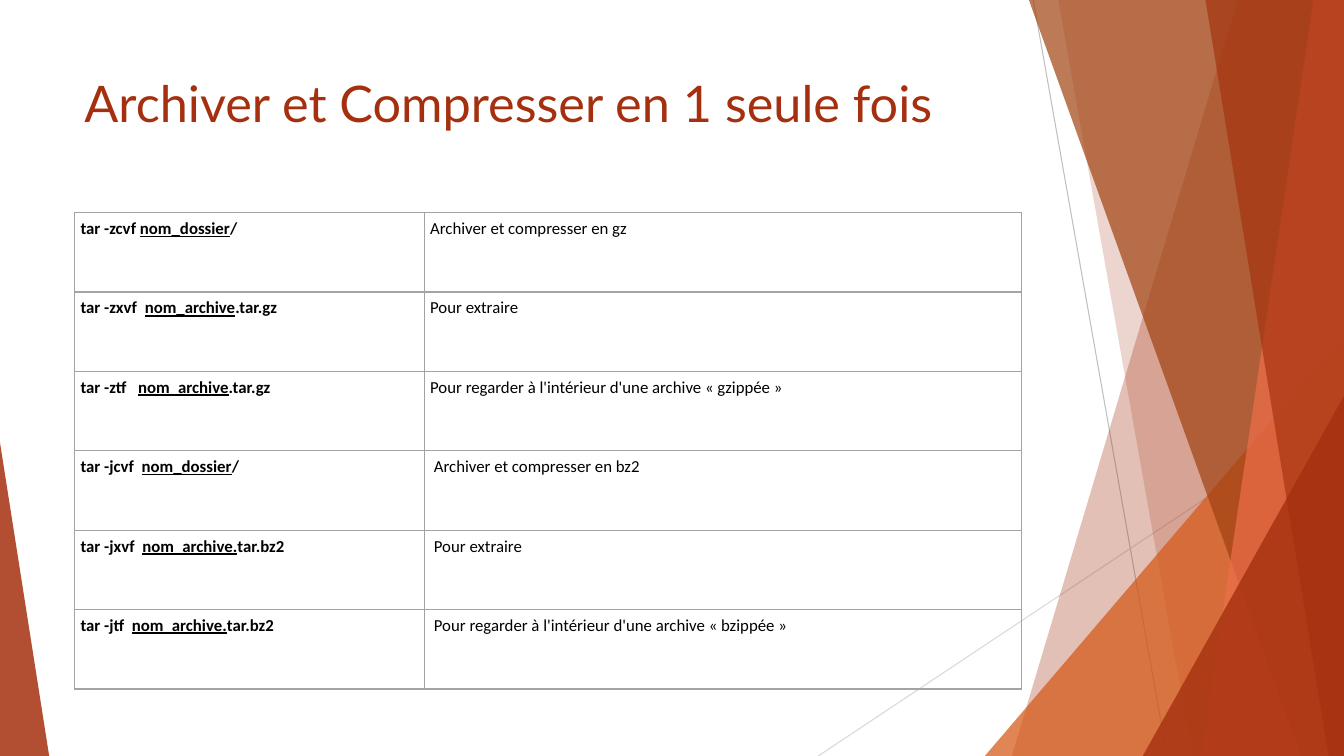
from dataclasses import dataclass

from lxml import etree
from pptx import Presentation
from pptx import util as u
from pptx.dml.color import RGBColor
from pptx.enum import shapes, text
from pptx.oxml import ns


@dataclass(frozen=True)
class Theme:
    rust: str = "A5300F"
    orange: str = "D55816"
    brown: str = "A04210"
    coral: str = "EE6E4A"
    ink: str = "000000"
    border: str = "A3A3A3"
    line_dark: str = "BFBFBF"
    line_light: str = "D9D9D9"
    title_font: str = "Lato"
    body_font: str = "Calibri"
    title_size: int = 36
    body_size: int = 12


theme = Theme()
WIDTH, HEIGHT = 33.87, 19.05
LEFT, TABLE_TOP = 1.88, 5.36
COLUMNS, ROW_HEIGHT = (8.81, 15.06), 2


def add_run(p, words, font, size, color, bold=False, underline=False):
    r = p.add_run()
    r.text = words
    r.font.name, r.font.size = font, u.Pt(size)
    r.font.bold, r.font.underline = bold, underline
    r.font.color.rgb = RGBColor.from_string(color)


def paint(sp, color, opacity):
    """Fill a facet with a translucent colour, without outline or shadow."""
    sp.shadow.inherit = False
    sp.line.fill.background()
    sp.fill.solid()
    sp.fill.fore_color.rgb = RGBColor.from_string(color)
    clr = sp.fill._xPr.find(".//" + ns.qn("a:srgbClr"))
    etree.SubElement(clr, ns.qn("a:alpha"), val=str(opacity * 1000))


prs = Presentation()
prs.slide_width, prs.slide_height = u.Cm(WIDTH), u.Cm(HEIGHT)
s = prs.slides.add_slide(prs.slide_layouts[6])

# Thin lines behind the facets
for x1, y1, x2, color in [
    (26.04, 0, 29.41, theme.line_dark),
    (WIDTH, 10.24, 20.62, theme.line_light),
]:
    line = s.shapes.add_connector(
        shapes.MSO_CONNECTOR.STRAIGHT, u.Cm(x1), u.Cm(y1), u.Cm(x2), u.Cm(HEIGHT))
    line.line.width = u.Pt(0.75)
    line.line.color.rgb = RGBColor.from_string(color)
    etree.SubElement(line._element.spPr, ns.qn("a:effectLst"))

# Full-height bands: left edge at the top and at the bottom, colour, opacity.
# Triangles: left, top, width, tip position, colour, opacity.
facets = [
    (31.19, 25.5, theme.rust, 30),
    (26.67, 30.05, theme.rust, 20),
    (24.82, 8.46, 9.05, 1, theme.orange, 72),
    (25.93, 32.79, theme.brown, 70),
    (33.1, 30.28, theme.coral, 70),
    (30.38, 33.48, theme.rust, 65),
    (28.8, 9.98, 5.07, 1, theme.rust, 80),
    (0, 11.15, 1.24, 0, theme.rust, 85),
]
for *outline, color, opacity in facets:
    if len(outline) == 2:
        x_top, x_bottom = outline
        band = s.shapes.build_freeform(u.Cm(x_top), 0)
        band.add_line_segments([
            (u.Cm(WIDTH), 0), (u.Cm(WIDTH), u.Cm(HEIGHT)), (u.Cm(x_bottom), u.Cm(HEIGHT))])
        sp = band.convert_to_shape()
    else:
        x, y, width, tip = outline
        sp = s.shapes.add_shape(
            shapes.MSO_SHAPE.ISOSCELES_TRIANGLE,
            u.Cm(x), u.Cm(y), u.Cm(width), u.Cm(HEIGHT - y))
        sp.adjustments[0] = tip
    paint(sp, color, opacity)

# Title
title = s.shapes.add_textbox(u.Cm(LEFT), u.Cm(1.7), u.Cm(sum(COLUMNS)), u.Cm(3.66))
tf = title.text_frame
tf.word_wrap = True
tf.vertical_anchor = text.MSO_ANCHOR.TOP
add_run(tf.paragraphs[0], "Archiver et Compresser en 1 seule fois",
        theme.title_font, theme.title_size, theme.rust)

# Commands: option, underlined argument, ending, description
commands = [
    ("tar -zcvf ", "nom_dossier", "/", "Archiver et compresser en gz"),
    ("tar -zxvf  ", "nom_archive", ".tar.gz", "Pour extraire"),
    ("tar -ztf   ", "nom_archive", ".tar.gz",
     "Pour regarder à l'intérieur d'une archive « gzippée »"),
    ("tar -jcvf  ", "nom_dossier", "/", " Archiver et compresser en bz2"),
    ("tar -jxvf  ", "nom_archive.", "tar.bz2", " Pour extraire"),
    ("tar -jtf  ", "nom_archive.", "tar.bz2",
     " Pour regarder à l'intérieur d'une archive « bzippée »"),
]
table = s.shapes.add_table(
    len(commands), len(COLUMNS), u.Cm(LEFT), u.Cm(TABLE_TOP),
    u.Cm(sum(COLUMNS)), u.Cm(ROW_HEIGHT * len(commands))).table
table.first_row = table.horz_banding = False
for column, width in zip(table.columns, COLUMNS):
    column.width = u.Cm(width)

for row, (option, argument, ending, description) in enumerate(commands):
    table.rows[row].height = u.Cm(ROW_HEIGHT)
    command_runs = [(option, True, False), (argument, True, True), (ending, True, False)]
    for col, runs in enumerate([command_runs, [(description, False, False)]]):
        cell = table.cell(row, col)
        cell.margin_left = cell.margin_right = u.Cm(0.15)
        cell.margin_top = cell.margin_bottom = u.Cm(0.15)
        cell.vertical_anchor = text.MSO_ANCHOR.TOP
        tcPr = cell._tc.get_or_add_tcPr()
        for side in ("lnL", "lnR", "lnT", "lnB"):
            ln = etree.SubElement(tcPr, ns.qn("a:" + side), w=str(u.Pt(1)))
            fill = etree.SubElement(ln, ns.qn("a:solidFill"))
            etree.SubElement(fill, ns.qn("a:srgbClr"), val=theme.border)
        cell.fill.background()
        for words, bold, underline in runs:
            add_run(cell.text_frame.paragraphs[0], words, theme.body_font,
                    theme.body_size, theme.ink, bold, underline)

prs.save("out.pptx")
